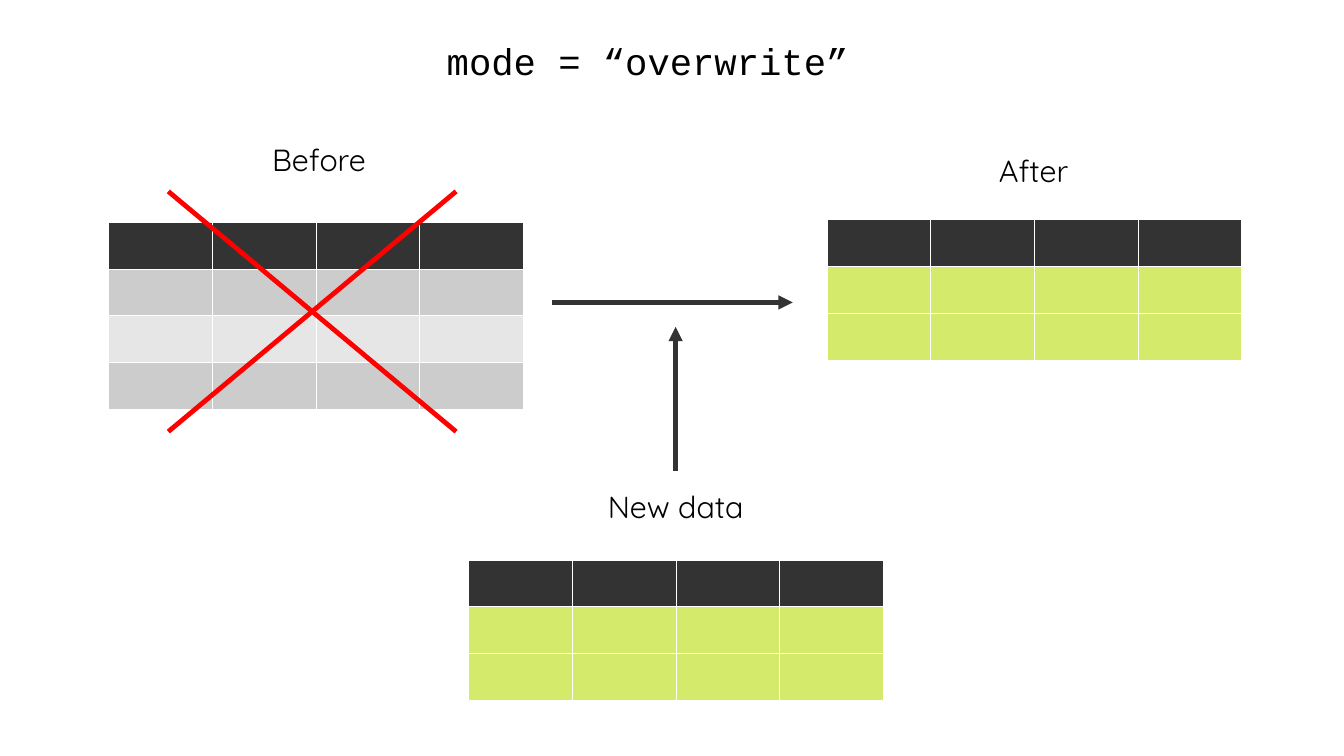
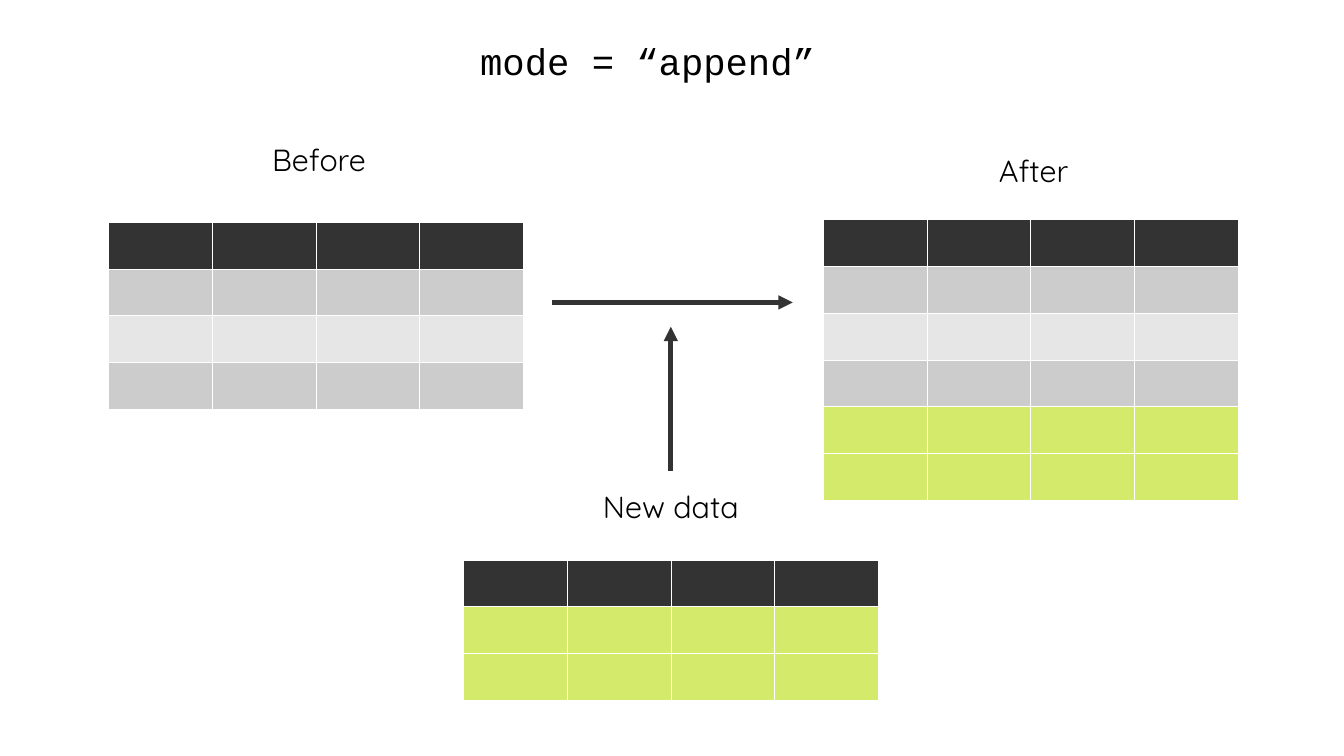
from dataclasses import dataclass

from lxml import etree
from pptx import Presentation
from pptx.dml.color import RGBColor
from pptx.enum.shapes import MSO_CONNECTOR
from pptx.enum.text import MSO_ANCHOR, MSO_AUTO_SIZE, PP_ALIGN
from pptx.oxml.ns import qn
from pptx.util import Inches, Pt

STRAIGHT = MSO_CONNECTOR.STRAIGHT
MIDDLE = MSO_ANCHOR.MIDDLE
CENTER = PP_ALIGN.CENTER
NO_AUTOFIT = MSO_AUTO_SIZE.NONE
TITLE_ONLY_LAYOUT = 5

BLACK = "000000"
WHITE = "FFFFFF"
DARK = "333333"
GRAY = "CCCCCC"
PALE_GRAY = "E6E6E6"
LIME = "D4EA6B"
RED = "FF0000"

CODE_FONT, CODE_SIZE = "Courier New", 22
LABEL_FONT, LABEL_SIZE = "Quicksand", 18

COLUMNS = 4
TABLE_WIDTH = 3.4
ROW_HEIGHT = 1.15 / 3
LABEL_WIDTH, LABEL_HEIGHT = 2.95, 0.44
LINE_WIDTH = 2.83
BORDER_WIDTH = 0.06

OLD_ROWS = (GRAY, PALE_GRAY, GRAY)
NEW_ROWS = (LIME, LIME)


@dataclass(frozen=True)
class DataTable:
    label: str
    label_left: float
    label_top: float
    left: float
    top: float
    rows: tuple[str, ...]


@dataclass(frozen=True)
class WriteMode:
    name: str
    after_left: float
    after_rows: tuple[str, ...]
    new_data_center: float
    discards_before: bool


MODES = (
    WriteMode("overwrite", 6.78, NEW_ROWS, 5.54, True),
    WriteMode("append", 6.75, OLD_ROWS + NEW_ROWS, 5.5, False),
)


def color(value: str) -> RGBColor:
    return RGBColor.from_string(value)


def write_centered(shape, text: str, font: str, size: float) -> None:
    frame = shape.text_frame
    frame.word_wrap = True
    frame.auto_size = NO_AUTOFIT
    frame.vertical_anchor = MIDDLE
    paragraph = frame.paragraphs[0]
    paragraph.alignment = CENTER
    run = paragraph.add_run()
    run.text = text
    run.font.name = font
    run.font.size = Pt(size)
    run.font.color.rgb = color(BLACK)


def add_title(slide, text: str) -> None:
    title = slide.shapes.title
    title.left, title.top = Inches(3.54), Inches(0.2)
    title.width, title.height = Inches(3.54), Inches(0.59)
    write_centered(title, text, CODE_FONT, CODE_SIZE)


def add_cell_borders(cell) -> None:
    properties = cell._tc.get_or_add_tcPr()
    for position, side in enumerate(("a:lnL", "a:lnR", "a:lnT", "a:lnB")):
        border = etree.Element(qn(side), w=str(int(Pt(BORDER_WIDTH))))
        fill = etree.SubElement(border, qn("a:solidFill"))
        etree.SubElement(fill, qn("a:srgbClr"), val=WHITE)
        properties.insert(position, border)


def add_data_table(slide, data: DataTable) -> None:
    """Draw the label and a table with a dark header above the data rows."""
    label = slide.shapes.add_textbox(
        Inches(data.label_left), Inches(data.label_top),
        Inches(LABEL_WIDTH), Inches(LABEL_HEIGHT))
    write_centered(label, data.label, LABEL_FONT, LABEL_SIZE)

    fills = (DARK, *data.rows)
    table = slide.shapes.add_table(
        len(fills), COLUMNS, Inches(data.left), Inches(data.top),
        Inches(TABLE_WIDTH), Inches(ROW_HEIGHT * len(fills))).table
    table.horz_banding = False
    for row, fill in zip(table.rows, fills):
        row.height = Inches(ROW_HEIGHT)
        for cell in row.cells:
            cell.margin_top = cell.margin_bottom = 0
            cell.fill.solid()
            cell.fill.fore_color.rgb = color(fill)
            add_cell_borders(cell)


def add_line(shapes, start: tuple[float, float], end: tuple[float, float],
             line_color: str, arrow: bool = False) -> None:
    connector = shapes.add_connector(
        STRAIGHT, *(Inches(value) for value in (*start, *end)))
    connector.line.color.rgb = color(line_color)
    connector.line.width = Pt(LINE_WIDTH)
    properties = connector._element.spPr
    if arrow:
        etree.SubElement(properties.find(qn("a:ln")), qn("a:tailEnd"), type="triangle")
    etree.SubElement(properties, qn("a:effectLst"))


def add_cross(slide, left: float, top: float, right: float, bottom: float) -> None:
    cross = slide.shapes.add_group_shape().shapes
    add_line(cross, (left, top), (right, bottom), RED)
    add_line(cross, (right, top), (left, bottom), RED)


def add_mode_slide(presentation, mode: WriteMode) -> None:
    slide = presentation.slides.add_slide(
        presentation.slide_layouts[TITLE_ONLY_LAYOUT])
    center = mode.new_data_center
    add_title(slide, f"mode = “{mode.name}”")
    for data in (
        DataTable("Before", 1.14, 1.09, 0.89, 1.82, OLD_ROWS),
        DataTable("New data", center - LABEL_WIDTH / 2, 3.93,
                  center - TABLE_WIDTH / 2, 4.59, NEW_ROWS),
        DataTable("After", 7, 1.18, mode.after_left, 1.8, mode.after_rows),
    ):
        add_data_table(slide, data)
    add_line(slide.shapes, (4.53, 2.48), (6.5, 2.48), DARK, arrow=True)
    add_line(slide.shapes, (center, 3.86), (center, 2.68), DARK, arrow=True)
    if mode.discards_before:
        add_cross(slide, 1.38, 1.57, 3.74, 3.54)


def main() -> None:
    presentation = Presentation()
    presentation.slide_width = Inches(11.02)
    presentation.slide_height = Inches(6.2)
    for mode in MODES:
        add_mode_slide(presentation, mode)
    presentation.save("out.pptx")


if __name__ == "__main__":
    main()
